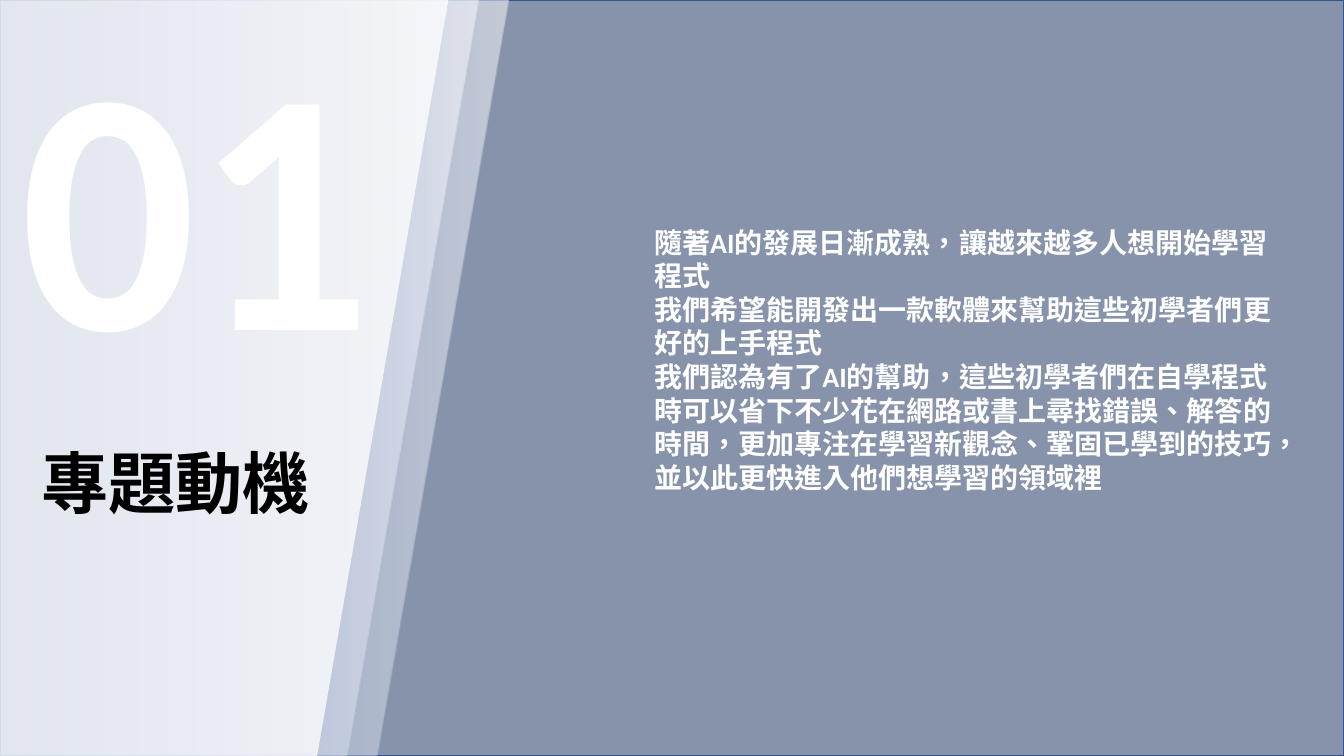
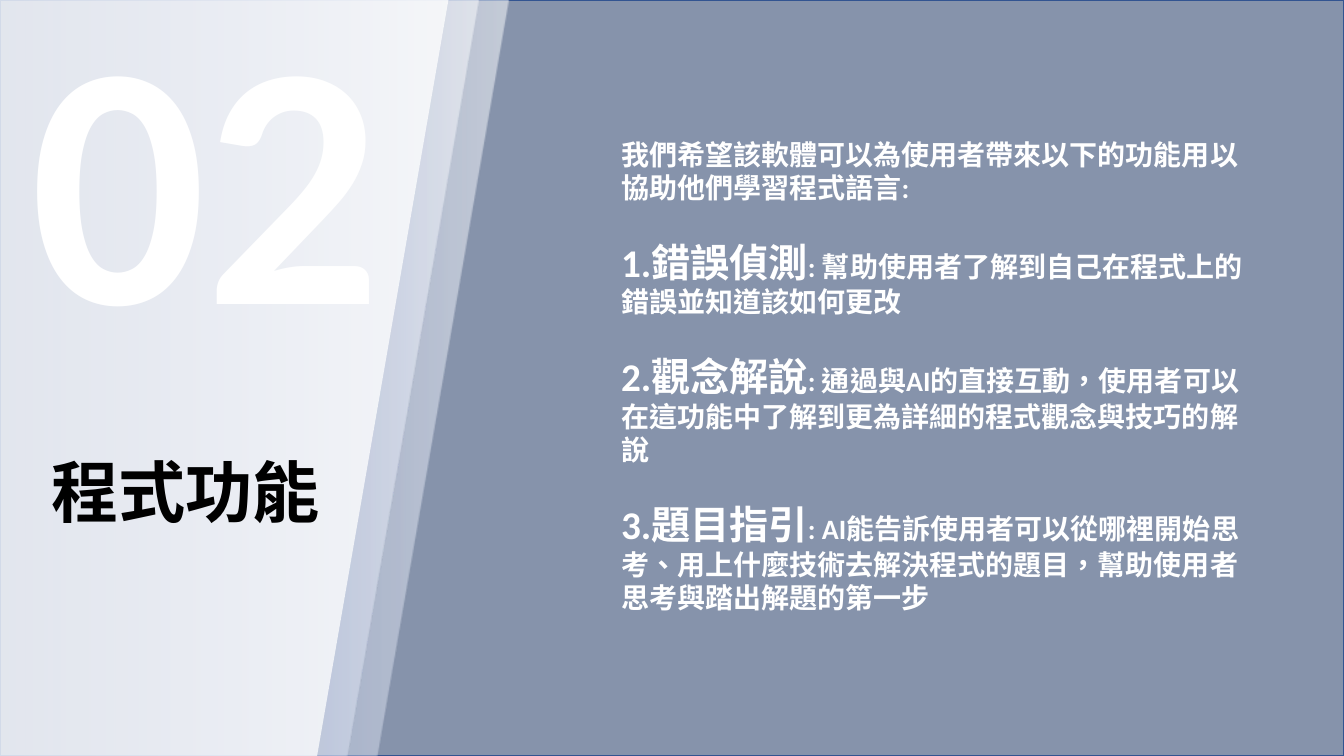
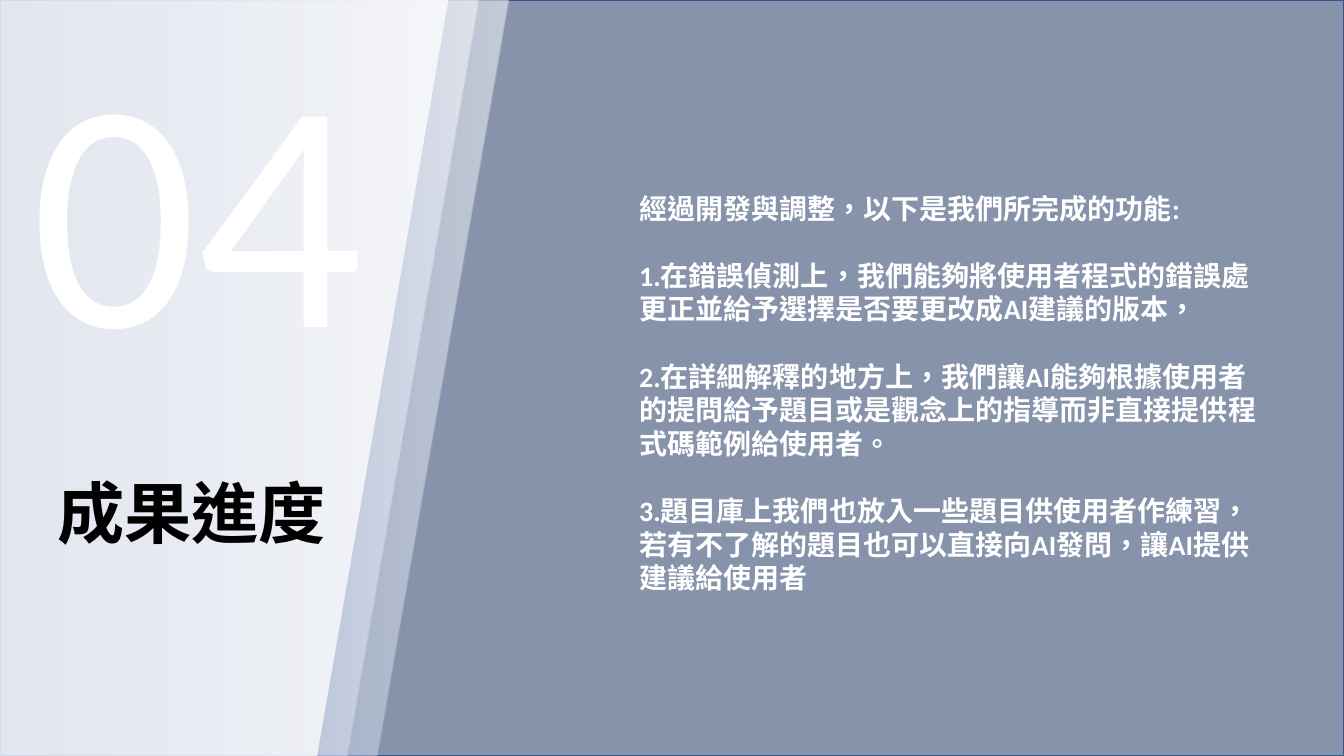
import pptx
import pptx.util
import pptx.dml.color
import pptx.enum.lang
import pptx.enum.shapes
import pptx.enum.text
import pptx.oxml
import pptx.oxml.ns

RGBColor = pptx.dml.color.RGBColor
NAVY = RGBColor(0x20, 0x38, 0x64)
EDGE = RGBColor(0x32, 0x54, 0x91)
PERIWINKLE = RGBColor(0x92, 0xAA, 0xEA)
WHITE = RGBColor(0xFF, 0xFF, 0xFF)
BLACK = RGBColor(0x00, 0x00, 0x00)

FONT = "Calibri"
EMU_PER_PX = 914400 / 100.8
PX_PER_PT = 100.8 / 72
WIDTH, HEIGHT = 1344, 756
ASCENT, LINE_HEIGHT = 0.952, 1.22
BODY_WIDTH = 653
BLANK_LINE = 24
BAND_STEP = 30

SECTIONS = [
    dict(
        number="01", number_at=(20, 314), number_size=248, number_bold=True,
        title="專題動機", title_box=(31, 436, 393, 92),
        body_box=(644, 220, BODY_WIDTH, 281), gap=0,
        paragraphs=[
            [("隨著AI的發展日漸成熟，讓越來越多人想開始學習程式", 20)],
            [("我們希望能開發出一款軟體來幫助這些初學者們更好的上手程式", 20)],
            [("我們認為有了AI的幫助，這些初學者們在自學程式時可以省下不少花在網路或書上尋找錯誤、"
              "解答的時間，更加專注在學習新觀念、鞏固已學到的技巧，並以此更快進入他們想學習的領域裡", 20)],
        ],
    ),
    dict(
        number="02", number_at=(30, 288), number_size=248, number_bold=True,
        title="程式功能", title_box=(41, 445, 393, 92),
        body_box=(611, 132, BODY_WIDTH, 492), gap=BLANK_LINE,
        paragraphs=[
            [("我們希望該軟體可以為使用者帶來以下的功能用以協助他們學習程式語言:", 20)],
            [("1.錯誤偵測", 28),
             (": 幫助使用者了解到自己在程式上的錯誤並知道該如何更改", 20)],
            [("2.觀念解說", 28),
             (": 通過與AI的直接互動，使用者可以在這功能中了解到更為詳細的程式觀念與技巧的解說", 20)],
            [("3.題目指引", 28),
             (": AI能告訴使用者可以從哪裡開始思考、用上什麼技術去解決程式的題目，"
              "幫助使用者思考與踏出解題的第一步", 20)],
        ],
    ),
    dict(
        number="04", number_at=(32, 312), number_size=234, number_bold=False,
        title="成果進度", title_box=(47, 466, 300, 95),
        body_box=(629, 186, BODY_WIDTH, 417), gap=BLANK_LINE,
        paragraphs=[
            [("經過開發與調整，以下是我們所完成的功能:", 20)],
            [("1.在錯誤偵測上，我們能夠將使用者程式的錯誤處更正並給予選擇是否要更改成AI建議的版本，", 20)],
            [("2.在詳細解釋的地方上，我們讓AI能夠根據使用者的提問給予題目或是觀念上的指導"
              "而非直接提供程式碼範例給使用者。", 20)],
            [("3.題目庫上我們也放入一些題目供使用者作練習，若有不了解的題目也可以直接向AI發問，"
              "讓AI提供建議給使用者", 20)],
        ],
    ),
]


def px(n):
    return pptx.util.Emu(round(n * EMU_PER_PX))


def add_run(p, text, size, color=WHITE, bold=True):
    r = p.add_run()
    r.text = text
    r.font.name = FONT
    r.font.size = pptx.util.Pt(size)
    r.font.bold = bold
    r.font.color.rgb = color
    r.font.language_id = pptx.enum.lang.MSO_LANGUAGE_ID.TRADITIONAL_CHINESE
    return r


def set_opacity(fill_color_parent, percent):
    """Add an alpha value to the solid colour below the given element."""
    color = fill_color_parent.find(".//" + pptx.oxml.ns.qn("a:srgbClr"))
    alpha = color.makeelement(pptx.oxml.ns.qn("a:alpha"), {"val": str(percent * 1000)})
    color.append(alpha)


def gradient_xml(stops):
    """Left-to-right gradient from (position, colour, opacity) percentages."""
    items = "".join(
        f'<a:gs pos="{pos * 1000}"><a:srgbClr val="{color}">'
        f'<a:alpha val="{opacity * 1000}"/></a:srgbClr></a:gs>'
        for pos, color, opacity in stops)
    return pptx.oxml.parse_xml(
        f'<a:gradFill rotWithShape="1" {pptx.oxml.ns.nsdecls("a")}>'
        f'<a:gsLst>{items}</a:gsLst><a:lin ang="0" scaled="0"/></a:gradFill>')


class Deck:
    def __init__(self):
        self.prs = pptx.Presentation()
        self.prs.slide_width, self.prs.slide_height = px(WIDTH), px(HEIGHT)
        self.s = None

    def new_slide(self):
        self.s = self.prs.slides.add_slide(self.prs.slide_layouts[1])
        self.backdrop()

    def shape(self, kind, box, color, opacity):
        sp = self.s.shapes.add_shape(kind, *map(px, box))
        sp.shadow.inherit = False
        sp.fill.solid()
        sp.fill.fore_color.rgb = color
        set_opacity(sp.element.spPr, opacity)
        sp.line.fill.background()
        return sp

    def backdrop(self):
        kinds = pptx.enum.shapes.MSO_SHAPE
        panel = self.shape(kinds.RECTANGLE, (0, 0, WIDTH, HEIGHT), NAVY, 54)
        panel.line.color.rgb = EDGE
        panel.line.width = pptx.util.Pt(1)
        for i in range(3):
            box = (-281 - i * BAND_STEP, -124, 811, 934)
            band = self.shape(kinds.FLOWCHART_DATA, box, WHITE, 75)
            if i < 2:
                solid = band.element.spPr.find(pptx.oxml.ns.qn("a:solidFill"))
                stops = [(0, PERIWINKLE, 0), (18, PERIWINKLE, 0), (100, WHITE, 55)]
                band.element.spPr.replace(solid, gradient_xml(stops))

    def placeholder(self, sp, box):
        """Place a template placeholder above the backdrop and return its text frame."""
        sp.element.getparent().append(sp.element)
        sp.left, sp.top, sp.width, sp.height = map(px, box)
        tf = sp.text_frame
        tf.word_wrap = True
        tf.auto_size = pptx.enum.text.MSO_AUTO_SIZE.SHAPE_TO_FIT_TEXT
        tf.vertical_anchor = pptx.enum.text.MSO_ANCHOR.TOP
        return tf

    def title(self, text, box):
        p = self.placeholder(self.s.shapes.title, box).paragraphs[0]
        p.alignment = pptx.enum.text.PP_ALIGN.LEFT
        add_run(p, text, 48, color=BLACK)

    def body(self, paragraphs, box, gap):
        tf = self.placeholder(self.s.placeholders[1], box)
        for i, runs in enumerate(paragraphs):
            p = tf.add_paragraph() if i else tf.paragraphs[0]
            p.space_before = pptx.util.Pt(gap if i else 0)
            pPr = p._p.get_or_add_pPr()
            pPr.set("marL", "0")
            pPr.set("indent", "0")
            pPr.append(pPr.makeelement(pptx.oxml.ns.qn("a:buNone"), {}))
            for text, size in runs:
                add_run(p, text, size)

    def number(self, text, left, baseline, size, bold):
        em = size * PX_PER_PT
        box = (left, baseline - ASCENT * em, 400, LINE_HEIGHT * em)
        tf = self.s.shapes.add_textbox(*map(px, box)).text_frame
        tf.margin_left = tf.margin_right = tf.margin_top = tf.margin_bottom = 0
        tf.word_wrap = False
        add_run(tf.paragraphs[0], text, size, bold=bold)


def main():
    deck = Deck()
    for section in SECTIONS:
        deck.new_slide()
        deck.title(section["title"], section["title_box"])
        deck.body(section["paragraphs"], section["body_box"], section["gap"])
        deck.number(section["number"], *section["number_at"],
                    section["number_size"], section["number_bold"])
    deck.prs.save("out.pptx")


if __name__ == "__main__":
    main()
